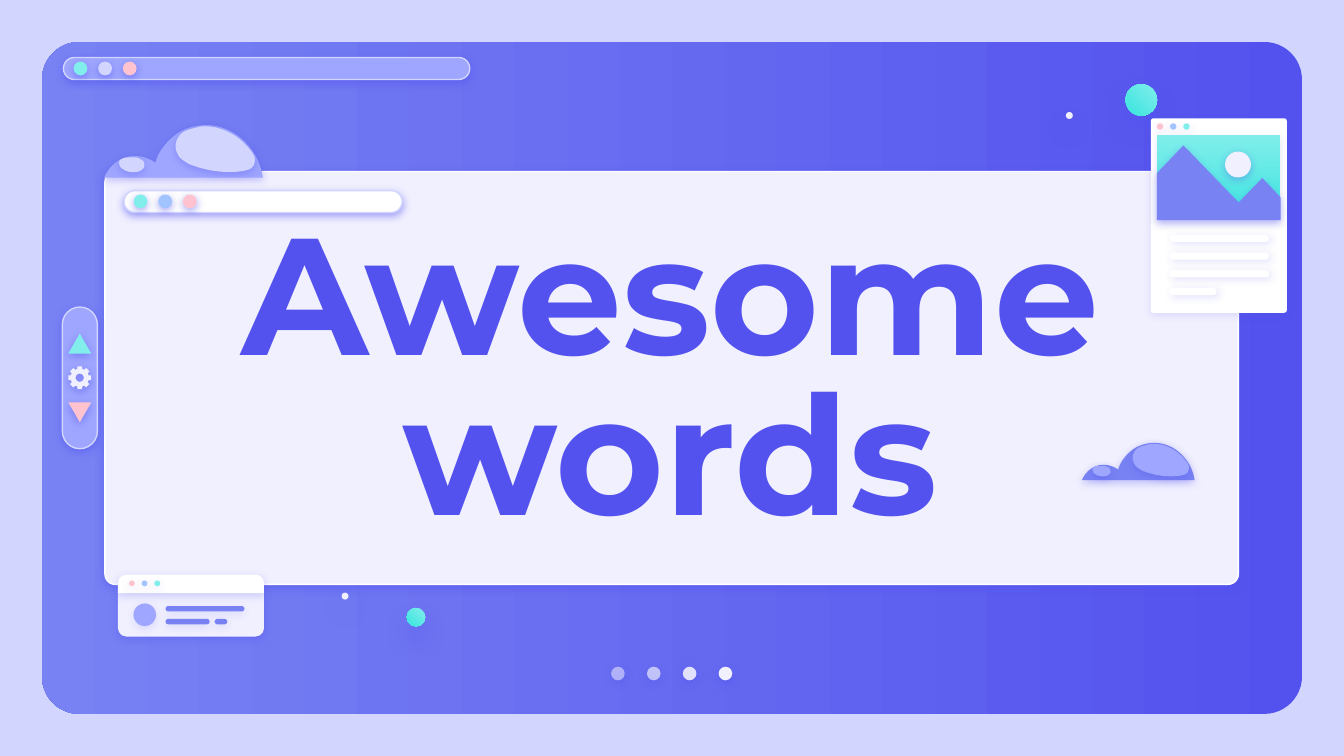
from math import cos, radians, sin

from lxml.etree import SubElement
from pptx import Presentation
from pptx.dml.color import RGBColor
from pptx.enum.shapes import MSO_SHAPE as Preset
from pptx.enum.text import MSO_ANCHOR as Anchor, PP_ALIGN as Align
from pptx.oxml.ns import qn
from pptx.util import Pt

INDIGO = RGBColor(0x53, 0x52, 0xEE)
BLUE = RGBColor(0x78, 0x82, 0xF3)
PERIWINKLE = RGBColor(0x9E, 0xA6, 0xFF)
LAVENDER = RGBColor(0xD2, 0xD6, 0xFF)
GHOST = RGBColor(0xF1, 0xF0, 0xFF)
WHITE = RGBColor(0xFF, 0xFF, 0xFF)
AQUA = RGBColor(0x81, 0xEE, 0xEB)
TEAL = RGBColor(0x3A, 0xE4, 0xDF)
PINK = RGBColor(0xFF, 0xC3, 0xD0)
SKY = RGBColor(0xA1, 0xC3, 0xFF)

# Shadows: opacity %, blur, distance, direction in degrees
STRONG, MEDIUM, CLOUDY = (50, 4.5, 1.5, 90), (34, 4.5, 1.5, 90), (31, 4.5, 1.5, 90)
HEADER, FAINT, SIDEWAYS = (24, 4.5, 1.5, 90), (14, 4.5, 1.5, 90), (18, 4.5, 1.5, 39)
FLOATING = (38, 12.4, 6.8, 90)

# Cloud outlines: a start point, then lines (2 numbers) or curves (6 numbers)
CLOUD_BODY = [
    (54.7, 0), (48.2, 0, 41.8, 2.2, 37.4, 5.8), (33.1, 9.4, 28.8, 14.4, 27.4, 20.2),
    (24.5, 18, 20.2, 16.6, 16.6, 16.6), (15.1, 16.6, 13.7, 16.6, 11.5, 17.3),
    (6.5, 18.7, 2.2, 23, 0, 28.1), (85, 28.1),
    (83.5, 17.3, 77, 8.6, 68.4, 3.6), (64.1, 1.4, 59.8, 0, 54.7, 0)]
CLOUD_SHINE = [
    (54, 0.7), (52.6, 0.7, 51.1, 0.7, 49.7, 1.4), (46.1, 2.2, 42.5, 2.9, 40.3, 5.8),
    (38.2, 8.6, 37.4, 12.2, 39.6, 15.8), (40.3, 18, 43.2, 19.4, 45.4, 20.9),
    (52.6, 23.8, 59.8, 25.2, 67, 25.2), (71.3, 25.2, 74.9, 24.8, 77.8, 23.8),
    (79.2, 23, 80.6, 21.6, 80.6, 20.2), (81.4, 18, 79.9, 15.1, 78.5, 13.7),
    (72.7, 5.8, 63.4, 0.7, 54, 0.7)]
CLOUD_GLINT = [
    (15.1, 17.3), (13, 17.3, 10.1, 17.3, 8.6, 18.7), (7.9, 19.4, 7.9, 20.9, 8.6, 22.3),
    (9.4, 23.4, 12, 25.2, 15.1, 25.2), (16.6, 25.2),
    (18.7, 25.2, 20.9, 23.8, 21.6, 22.3), (21.6, 20.9, 21.6, 19.4, 20.2, 18.7),
    (18.7, 18, 18, 17.3, 16.6, 17.3)]


def trace(outline, steps=10):
    """Turn lines and cubic curves into a list of points."""
    points = [outline[0]]
    for part in outline[1:]:
        if len(part) == 2:
            points.append(part)
            continue
        start, ends = points[-1], (part[:2], part[2:4], part[4:])
        for step in range(1, steps + 1):
            t = step / steps
            weights = ((1 - t) ** 3, 3 * t * (1 - t) ** 2, 3 * t * t * (1 - t), t ** 3)
            points.append(tuple(sum(w * p[axis] for w, p in zip(weights, (start, *ends)))
                                for axis in (0, 1)))
    return points


def polar(x, y, radius, angle):
    return x + radius * cos(radians(angle)), y + radius * sin(radians(angle))


class Artist:
    font_format = {"name": "Montserrat", "size": Pt(89), "bold": True}

    def __init__(self, slide):
        self.slide = slide

    def paint(self, shape, fill, shadow=None, line=None, opacity=100):
        if isinstance(fill, RGBColor):
            shape.fill.solid()
            shape.fill.fore_color.rgb = fill
        else:
            *colours, angle = fill
            shape.fill.gradient()
            shape.fill.gradient_angle = angle
            for stop, colour in zip(shape.fill.gradient_stops, colours):
                stop.color.rgb = colour
        if opacity < 100:
            colour = shape._element.spPr.find(f"{qn('a:solidFill')}/{qn('a:srgbClr')}")
            SubElement(colour, qn("a:alpha"), val=str(opacity * 1000))
        if line is None:
            shape.line.fill.background()
        else:
            shape.line.color.rgb = line
            shape.line.width = Pt(0.75)
        shape.shadow.inherit = False
        if shadow:
            alpha, blur, distance, direction = shadow
            effects = shape._element.spPr.find(qn("a:effectLst"))
            outer = SubElement(effects, qn("a:outerShdw"), blurRad=str(Pt(blur)),
                               dist=str(Pt(distance)), dir=str(direction * 60000),
                               algn="bl", rotWithShape="0")
            colour = SubElement(outer, qn("a:srgbClr"), val=str(INDIGO))
            SubElement(colour, qn("a:alpha"), val=str(alpha * 1000))

    def preset(self, kind, box, fill, shadow=None, line=None, adjust=(), turn=0, opacity=100):
        shape = self.slide.shapes.add_shape(kind, *map(Pt, box))
        for index, value in enumerate(adjust):
            shape.adjustments[index] = value
        shape.rotation = turn
        self.paint(shape, fill, shadow, line, opacity)

    def panel(self, box, fill, shadow=None, line=None, corner=0.5):
        self.preset(Preset.ROUNDED_RECTANGLE, box, fill, shadow, line, (corner,))

    def dot(self, left, top, size, fill, shadow, opacity=100):
        self.preset(Preset.OVAL, (left, top, size, size), fill, shadow, opacity=opacity)

    def dot_row(self, left, top, size, step, fills, shadow):
        for index, fill in enumerate(fills):
            self.dot(left + index * step, top, size, fill, shadow)

    def outline(self, contours, fill, shadow):
        builder = None
        for contour in contours:
            start, *rest = [(Pt(x), Pt(y)) for x, y in contour]
            if builder is None:
                builder = self.slide.shapes.build_freeform(*start)
            else:
                builder.move_to(*start)
            builder.add_line_segments(rest, close=True)
        self.paint(builder.convert_to_shape(), fill, shadow)

    def cloud(self, left, top, scale, body, shine):
        for curve, fill in ((CLOUD_BODY, body), (CLOUD_SHINE, shine), (CLOUD_GLINT, shine)):
            points = [(left + x * scale, top + y * scale) for x, y in trace(curve)]
            self.outline([points], fill, CLOUDY)

    def gear(self, x, y, fill, shadow):
        tooth = ((4.9, -15), (6.2, -12), (6.2, 12), (4.9, 15))
        rim = [polar(x, y, radius, turn + angle)
               for turn in range(0, 360, 45) for radius, angle in tooth]
        hole = [polar(x, y, 2.2, -angle) for angle in range(0, 360, 15)]
        self.outline([rim, hole], fill, shadow)

    def title(self, box, words, colour):
        frame = self.slide.shapes.add_textbox(*map(Pt, box)).text_frame
        frame_format = {"word_wrap": True, "vertical_anchor": Anchor.MIDDLE}
        frame_format.update({f"margin_{side}": Pt(7.2)
                             for side in ("left", "top", "right", "bottom")})
        for key, value in frame_format.items():
            setattr(frame, key, value)
        paragraph = frame.paragraphs[0]
        paragraph.alignment, paragraph.line_spacing = Align.CENTER, 0.8
        run = paragraph.add_run()
        run.text = words
        for key, value in self.font_format.items():
            setattr(run.font, key, value)
        run.font.color.rgb = colour


def main():
    deck = Presentation()
    deck.slide_width, deck.slide_height = Pt(720), Pt(405)
    slide = deck.slides.add_slide(deck.slide_layouts[6])
    slide.background.fill.solid()
    slide.background.fill.fore_color.rgb = LAVENDER
    art = Artist(slide)

    # Backdrop with its address bar and page dots
    art.panel((22.5, 22.5, 675, 360), (INDIGO, BLUE, 180), corner=0.056)
    art.panel((34, 30.8, 217.7, 11.8), PERIWINKLE, STRONG, LAVENDER)
    art.dot_row(39.4, 33, 7.4, 13.2, (AQUA, LAVENDER, PINK), STRONG)
    for index, opacity in enumerate((54, 67, 90, 100)):
        art.dot(327.4 + index * 19.2, 357.2, 7.3, GHOST, STRONG, opacity)

    # Main window and title
    art.panel((56.2, 91.9, 607.2, 221.2), GHOST, STRONG, WHITE, corner=0.025)
    art.title((118, 108, 482.4, 199.4), "Awesome words", INDIGO)

    # Clouds
    art.cloud(55.8, 67, 1, PERIWINKLE, LAVENDER)
    art.cloud(579.6, 237.3, 0.71, BLUE, PERIWINKLE)

    # Floating balls
    ball = (AQUA, TEAL, 225)
    for left, top, size, fill in ((603, 45.1, 16.9, ball), (571, 60, 3.7, GHOST),
                                  (217.9, 325.7, 9.9, ball), (183, 317.5, 3.7, GHOST)):
        art.dot(left, top, size, fill, FLOATING)

    # Picture page
    art.panel((616.5, 63.4, 72.9, 104.2), WHITE, FAINT, corner=0.02)
    for index, width in enumerate((53.2, 53.2, 53.2, 25.2)):
        art.panel((626.6, 125.8 + index * 9.5, width, 3.8), WHITE, SIDEWAYS)
    art.dot_row(619.8, 66.1, 3.4, 7.05, (PINK, SKY, AQUA), FAINT)
    art.preset(Preset.RECTANGLE, (619.8, 72.3, 66.2, 45.6), (AQUA, TEAL, 270), FAINT)
    art.outline([[(634, 77.9), (619.8, 92.8), (619.8, 117.9), (686, 117.9),
                  (686, 105.7), (676.3, 95.4), (663.6, 108.5)]], BLUE, MEDIUM)
    art.dot(656.3, 81.2, 13.9, GHOST, MEDIUM)

    # Profile window
    for box, fill, shadow, corners in (
            ((63.2, 317.5, 78.2, 23.5), GHOST, MEDIUM, (0, 0.19)),
            ((63.2, 307.8, 78.2, 10), WHITE, HEADER, (0.44, 0))):
        art.preset(Preset.ROUND_2_SAME_RECTANGLE, box, fill, shadow, adjust=corners)
    art.dot_row(69.1, 311, 3.1, 6.8, (PINK, SKY, AQUA), FAINT)
    art.dot(71.5, 323.3, 12.1, PERIWINKLE, FAINT)
    for left, top, width in ((88.7, 324.7, 42.3), (88.7, 331.6, 23.6), (115, 331.6, 6.8)):
        art.panel((left, top, width, 2.9), BLUE, FAINT)

    # Search bar of the main window
    art.panel((66.5, 102.1, 149, 11.7), WHITE, STRONG, LAVENDER)
    art.dot_row(71.6, 104.2, 7.4, 13.2, (AQUA, SKY, PINK), STRONG)

    # Scroll control
    art.panel((33.4, 164.5, 18.8, 75.9), PERIWINKLE, STRONG, LAVENDER)
    for top, fill, turn in ((178.7, AQUA, 0), (215.5, PINK, 180)):
        art.preset(Preset.ISOSCELES_TRIANGLE, (36.6, top, 12.3, 10.7), fill, STRONG, turn=turn)
    art.gear(42.75, 202.4, GHOST, STRONG)

    deck.save("out.pptx")


if __name__ == "__main__":
    main()
